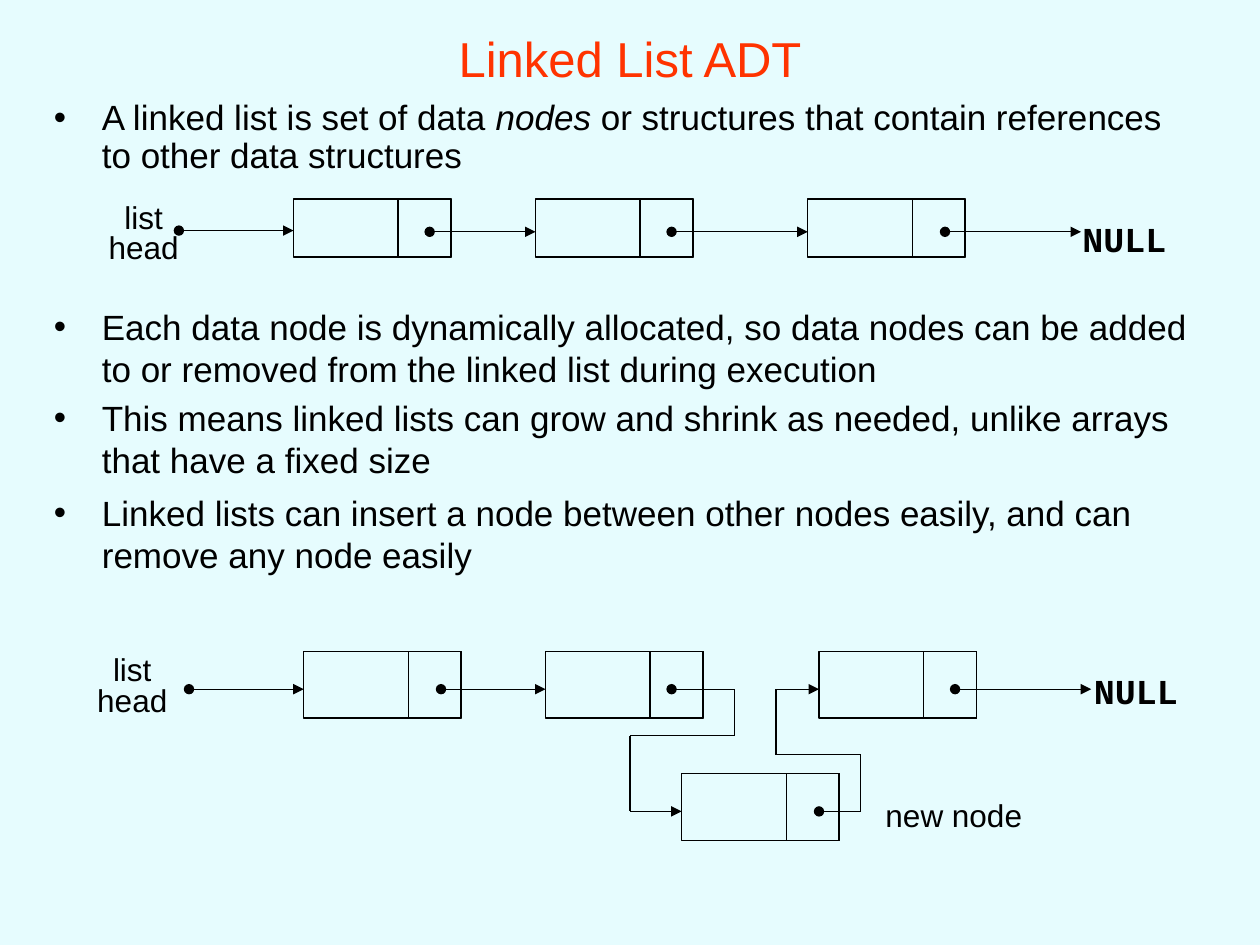
from dataclasses import dataclass
from itertools import pairwise

from lxml.etree import SubElement
from pptx import Presentation
from pptx.dml.color import RGBColor
from pptx.enum.shapes import MSO_CONNECTOR, MSO_SHAPE
from pptx.enum.text import MSO_ANCHOR, MSO_AUTO_SIZE, PP_ALIGN
from pptx.oxml.ns import qn
from pptx.util import Inches, Pt


@dataclass(frozen=True)
class Theme:
    background: RGBColor = RGBColor(0xE6, 0xFC, 0xFE)
    title: RGBColor = RGBColor(0xFF, 0x33, 0x00)
    ink: RGBColor = RGBColor(0, 0, 0)
    font: str = "Arial"
    code_font: str = "Courier New"
    title_size: int = 28
    body_size: int = 20
    label_size: int = 18
    line_width: float = 0.75


THEME = Theme()
NODE_WIDTH = 1.25
LINK_WIDTH = 0.42

BULLETS = [
    (0, 0.9, [("A linked list is set of data ", False), ("nodes", True),
              (" or structures that contain references to other data structures", False)]),
    (74, 1, [("Each data node is dynamically allocated, so data nodes can be added "
              "to or removed from the linked list during execution", False)]),
    (4, 1, [("This means linked lists can grow and shrink as needed, unlike arrays "
             "that have a fixed size", False)]),
    (6, 1, [("Linked lists can insert a node between other nodes easily, and can "
             "remove any node easily", False)]),
]


def add_run(p, text, size, color=THEME.ink, font=THEME.font, bold=False, italic=False):
    r = p.add_run()
    r.text = text
    r.font.name = font
    r.font.size = Pt(size)
    r.font.color.rgb = color
    r.font.bold = bold
    r.font.italic = italic


def add_frame(shapes, left, top, width, height, wrap=True):
    sp = shapes.add_textbox(Inches(left), Inches(top), Inches(width), Inches(height))
    tf = sp.text_frame
    tf.word_wrap = wrap
    return tf


def add_title(shapes, text):
    tf = add_frame(shapes, 0.5, 0.17, 9, 0.58)
    tf.vertical_anchor = MSO_ANCHOR.MIDDLE
    p = tf.paragraphs[0]
    p.alignment = PP_ALIGN.CENTER
    add_run(p, text, THEME.title_size, THEME.title)


def add_bullets(shapes, bullets):
    tf = add_frame(shapes, 0.33, 0.75, 9.25, 6.33)
    for i, (before, spacing, runs) in enumerate(bullets):
        p = tf.add_paragraph() if i else tf.paragraphs[0]
        p.space_before = Pt(before)
        p.line_spacing = spacing
        pPr = p._p.get_or_add_pPr()
        pPr.set("marL", str(Inches(0.38)))
        pPr.set("indent", str(Inches(-0.38)))
        SubElement(pPr, qn("a:buFont"), typeface=THEME.font)
        SubElement(pPr, qn("a:buChar"), char="•")
        for text, italic in runs:
            add_run(p, text, THEME.body_size, italic=italic)


def add_label(shapes, left, top, width, height, lines, spacing=0.8, **style):
    tf = add_frame(shapes, left, top, width, height, wrap=False)
    tf.auto_size = MSO_AUTO_SIZE.SHAPE_TO_FIT_TEXT
    for i, line in enumerate(lines):
        p = tf.add_paragraph() if i else tf.paragraphs[0]
        p.alignment = PP_ALIGN.CENTER
        p.line_spacing = spacing
        add_run(p, line, **{"size": THEME.label_size, **style})


def add_null(shapes, left, top):
    add_label(shapes, left, top, 0.87, 0.49, ["NULL"], spacing=1.2,
              size=THEME.body_size, font=THEME.code_font, bold=True)


def add_node(shapes, left, top, height):
    link_left = left + NODE_WIDTH - LINK_WIDTH
    for x, width in ((left, NODE_WIDTH), (link_left, LINK_WIDTH)):
        sp = shapes.add_shape(MSO_SHAPE.RECTANGLE, Inches(x), Inches(top),
                              Inches(width), Inches(height))
        sp.shadow.inherit = False
        sp.fill.background()
        sp.line.color.rgb = THEME.ink
        sp.line.width = Pt(THEME.line_width)


def add_pointer(shapes, *points):
    segments = list(pairwise(points))
    for i, (start, end) in enumerate(segments):
        cxn = shapes.add_connector(MSO_CONNECTOR.STRAIGHT, *map(Inches, start + end))
        cxn.line.color.rgb = THEME.ink
        cxn.line.width = Pt(THEME.line_width)
        ln = cxn.line._get_or_add_ln()
        if i == 0:
            SubElement(ln, qn("a:headEnd"), type="oval")
        if i == len(segments) - 1:
            SubElement(ln, qn("a:tailEnd"), type="triangle")
        SubElement(cxn._element.spPr, qn("a:effectLst"))


def add_simple_list(shapes):
    for left in (2.33, 4.25, 6.41):
        add_node(shapes, left, 1.58, 0.46)
    add_pointer(shapes, (1.42, 1.83), (2.33, 1.83))
    for start, end in ((3.41, 4.25), (5.33, 6.41), (7.5, 8.58)):
        add_pointer(shapes, (start, 1.84), (end, 1.84))
    add_null(shapes, 8.49, 1.61)
    add_label(shapes, 0.67, 1.58, 0.94, 0.58, ["list", "head"])


def add_insertion_list(shapes):
    row, new_row = 5.47, 6.44
    for left, top in ((2.41, 5.17), (4.33, 5.17), (6.5, 5.17), (5.41, 6.14)):
        add_node(shapes, left, top, 0.53)
    for start, end in ((1.5, 2.41), (3.5, 4.33), (7.58, 8.66)):
        add_pointer(shapes, (start, row), (end, row))
    add_pointer(shapes, (5.33, row), (5.83, row), (5.83, 5.84), (5, 5.84),
                (5, new_row), (5.41, new_row))
    add_pointer(shapes, (6.5, new_row), (6.83, new_row), (6.83, 5.99), (6.16, 5.99),
                (6.16, row), (6.5, row))
    add_null(shapes, 8.58, 5.2)
    add_label(shapes, 0.58, 5.17, 0.94, 0.67, ["list", "head"])


def main():
    prs = Presentation()
    prs.slide_width, prs.slide_height = Inches(10), Inches(7.5)
    s = prs.slides.add_slide(prs.slide_layouts[6])
    s.background.fill.solid()
    s.background.fill.fore_color.rgb = THEME.background
    add_title(s.shapes, "Linked List ADT")
    add_bullets(s.shapes, BULLETS)
    add_simple_list(s.shapes.add_group_shape().shapes)
    add_insertion_list(s.shapes.add_group_shape().shapes)
    add_label(s.shapes, 6.92, 6.33, 1.3, 0.34, ["new node"])
    prs.save("out.pptx")


if __name__ == "__main__":
    main()
